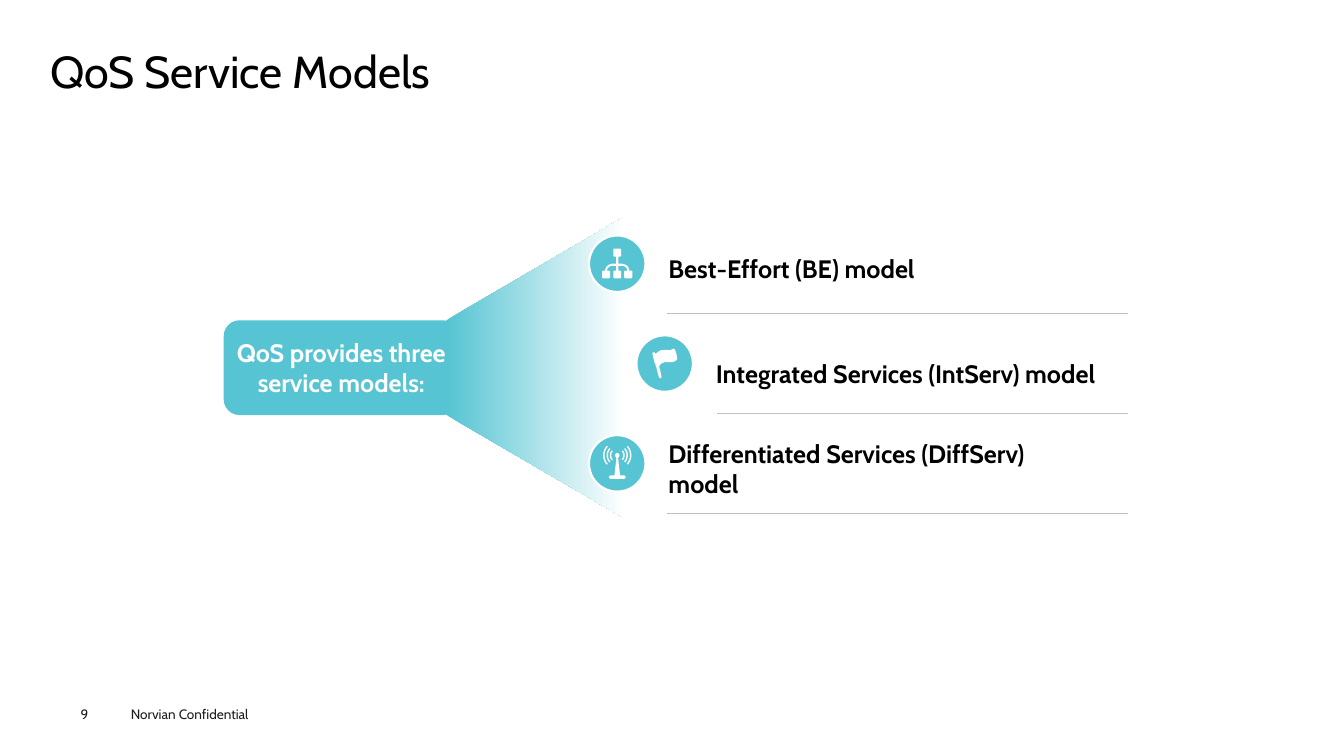
import math

import lxml.etree
import pptx
import pptx.dml.color
import pptx.enum.shapes
import pptx.enum.text
import pptx.oxml.ns
import pptx.util

Pt = pptx.util.Pt
SHAPE = pptx.enum.shapes.MSO_SHAPE
ALIGN = pptx.enum.text.PP_ALIGN
ANCHOR = pptx.enum.text.MSO_ANCHOR

COLORS = {
    "teal": "56C4D2",
    "white": "FFFFFF",
    "black": "000000",
    "rule": "BFBFBF",
    "footer": "1D1D1B",
}
FONT = "Cabin"
ROW_PITCH = 71.3
BADGE_SIZE = 40.3
RULE_RIGHT = 805.7

# Icon outlines are measured from the centre of their badge
NETWORK_HALF = (
    (2.2, -10.8), (2.8, -10.2), (2.8, -5.6), (2.2, -5), (0.8, -5), (0.8, 0),
    (3.6, 0), (6, 0.7), (7.8, 2.2), (8.6, 4.2), (8.6, 5), (10.2, 5),
    (10.8, 5.6), (10.8, 9.8), (10.2, 10.4), (5.6, 10.4), (5, 9.8), (5, 5.6),
    (5.6, 5), (7.2, 5), (7.2, 4.2), (6.4, 2.8), (5.2, 1.9), (3.6, 1.5),
    (0.8, 1.5), (0.8, 5), (2.2, 5), (2.8, 5.6), (2.8, 9.8), (2.2, 10.4))
FLAG = (
    (9, -3.4), (8.4, -7), (7.2, -10.4), (6.2, -10.6), (4.2, -9.6),
    (0, -9.8), (-3, -9.4), (-5, -8.2), (-6.6, -6.8), (-7.2, -8),
    (-8.4, -8), (-8.8, -7.2), (-7.6, -2), (-6, 2.4), (-4.8, 7.4),
    (-4, 10), (-3, 10.6), (-2.2, 9.8), (-3, 5.6), (-4, 1.8),
    (-2.4, 0), (0, -1), (5, -1), (7.4, -1.6), (8.6, -2.6))
MAST_HALF = (
    (0.8, -7.3), (1.6, -6.4), (1.6, -5.2), (0.6, -4), (2, 8.6),
    (5, 8.6), (6, 9.3), (6, 10.3), (5, 11))


def color(name):
    return pptx.dml.color.RGBColor.from_string(COLORS[name])


def write_text(frame, lines, size, ink, bold=False, align=ALIGN.LEFT,
               anchor=ANCHOR.TOP, insets=(7.2, 3.6)):
    frame.word_wrap = True
    frame.vertical_anchor = anchor
    frame.margin_left = frame.margin_right = Pt(insets[0])
    frame.margin_top = frame.margin_bottom = Pt(insets[1])
    for index, line in enumerate(lines):
        paragraph = frame.add_paragraph() if index else frame.paragraphs[0]
        paragraph.text = line
        paragraph.alignment = align
        paragraph.font.name = FONT
        paragraph.font.size = Pt(size)
        paragraph.font.bold = bold
        paragraph.font.color.rgb = color(ink)


def add_label(slide, box, text, size, ink, **style):
    label = slide.shapes.add_textbox(*map(Pt, box))
    write_text(label.text_frame, [text], size, ink, **style)


def add_solid(slide, preset, box, fill, outline=None):
    solid = slide.shapes.add_shape(preset, *map(Pt, box))
    solid.shadow.inherit = False
    solid.fill.solid()
    solid.fill.fore_color.rgb = color(fill)
    if outline:
        solid.line.color.rgb = color(outline)
        solid.line.width = Pt(1.5)
    else:
        solid.line.fill.background()
    return solid


def add_outline(slide, contours, x=0, y=0):
    """Build one borderless shape from closed contours, moved by x and y."""
    builder = None
    for contour in contours:
        start, *others = [(Pt(x + dx), Pt(y + dy)) for dx, dy in contour]
        if builder is None:
            builder = slide.shapes.build_freeform(*start)
        else:
            builder.move_to(*start)
        builder.add_line_segments(others, close=True)
    outline = builder.convert_to_shape()
    outline.shadow.inherit = False
    outline.line.fill.background()
    return outline


def add_rule(slide, start, end):
    rule = slide.shapes.add_connector(
        pptx.enum.shapes.MSO_CONNECTOR.STRAIGHT, *map(Pt, start + end))
    rule.line.color.rgb = color("rule")
    rule.line.width = Pt(0.25)
    lxml.etree.SubElement(rule._element.spPr, pptx.oxml.ns.qn("a:effectLst"))


def mirrored(half):
    return [*half, *((-x, y) for x, y in reversed(half))]


def wave(radius, facing):
    """Return a thin arc band around the antenna tip; facing is 1 or -1."""
    angles = [math.radians(a) for a in range(-42, 43, 6)]
    edges = [(radius + 0.5, a) for a in angles]
    edges += [(radius - 0.5, a) for a in reversed(angles)]
    return [(facing * r * math.cos(a), r * math.sin(a) - 5.8) for r, a in edges]


def antenna():
    waves = [wave(radius, facing) for radius in (4.8, 7.1, 9.6) for facing in (1, -1)]
    return [mirrored(MAST_HALF), *waves]


def add_model(slide, row, name, icon, badge_x, text_x, text_y, rule_x):
    badge_y = 188.4 + row * ROW_PITCH
    rule_y = 223.9 + row * ROW_PITCH
    add_rule(slide, (rule_x, rule_y), (RULE_RIGHT, rule_y))
    add_solid(slide, SHAPE.OVAL,
              (badge_x - BADGE_SIZE / 2, badge_y - BADGE_SIZE / 2,
               BADGE_SIZE, BADGE_SIZE), "teal", "white")
    symbol = add_outline(slide, icon, badge_x, badge_y)
    symbol.fill.solid()
    symbol.fill.fore_color.rgb = color("white")
    add_label(slide, (text_x, text_y, 301.7, 66), name, 18, "black",
              bold=True, anchor=ANCHOR.MIDDLE)


def add_title(slide, text):
    title = slide.shapes.title
    title.left, title.top, title.width, title.height = map(
        Pt, (36, 35.3, 889.2, 38.9))
    write_text(title.text_frame, [text], 32, "black", insets=(0, 0))
    title.text_frame.auto_size = pptx.enum.text.MSO_AUTO_SIZE.NONE
    title.text_frame.paragraphs[0].line_spacing = 0.9


def add_source_block(slide):
    """Place the teal block and the beam that fans out from it."""
    block = add_solid(slide, SHAPE.ROUNDED_RECTANGLE,
                      (159.8, 228.8, 168, 67.7), "teal")
    write_text(block.text_frame, ["QoS provides three", "service models:"], 18,
               "white", bold=True, align=ALIGN.CENTER, anchor=ANCHOR.MIDDLE,
               insets=(2.9, 3.6))
    beam = add_outline(slide, [[(318.8, 228.8), (445.7, 155),
                                (445.7, 370), (318.8, 296.3)]])
    beam.fill.gradient()
    beam.fill.gradient_angle = 0
    for stop, name in zip(beam.fill.gradient_stops, ("teal", "white")):
        stop.color.rgb = color(name)


def main():
    deck = pptx.Presentation()
    deck.slide_width, deck.slide_height = Pt(960), Pt(540)
    slide = deck.slides.add_slide(deck.slide_layouts[5])
    add_title(slide, "QoS Service Models")
    add_source_block(slide)
    models = (
        ("Best-Effort (BE) model", [mirrored(NETWORK_HALF)],
         440.9, 470.4, 158.5, 476.6),
        ("Integrated Services (IntServ) model", [FLAG],
         474.8, 504.2, 233.8, 512.2),
        ("Differentiated Services (DiffServ) model", antenna(),
         440.9, 470.4, 301.5, 476.6),
    )
    for row, model in enumerate(models):
        add_model(slide, row, *model)
    add_label(slide, (57.6, 504, 39.6, 11.5), "9", 9.7, "footer", insets=(0, 0))
    add_label(slide, (86.4, 500.4, 115.2, 19.4), "Norvian Confidential", 9.7, "footer")
    deck.save("out.pptx")


if __name__ == "__main__":
    main()
